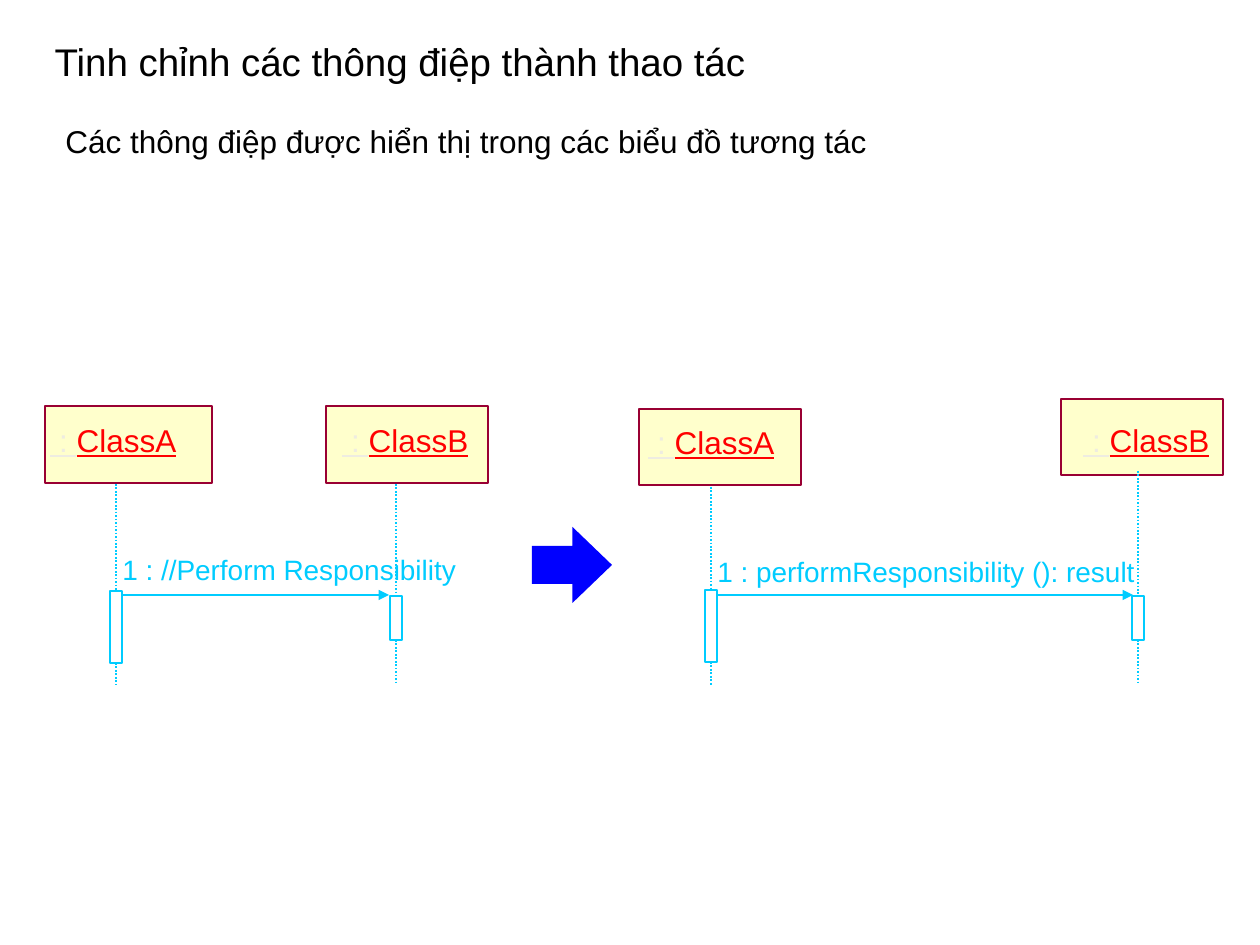
from dataclasses import dataclass

from lxml import etree
from pptx import Presentation
from pptx import util as u
from pptx.dml.color import RGBColor
from pptx.enum import dml, shapes, text
from pptx.oxml.ns import qn

PX = u.Inches(1) // 126


@dataclass(frozen=True)
class Theme:
    font: str = "Arial"
    black: str = "000000"
    cyan: str = "00CCFF"
    red: str = "FF0000"
    pale: str = "EEECE1"
    cream: str = "FFFFCC"
    maroon: str = "990033"
    blue: str = "0000FF"
    title: int = 22
    body: int = 18
    message: int = 16


T = Theme()

prs = Presentation()
prs.slide_width, prs.slide_height = 1260 * PX, 945 * PX
s = prs.slides.add_slide(prs.slide_layouts[5])


def write(sp, box, runs, size, wrap=False, underline=None):
    """Place sp at box (px) and fill it with (text, colour) runs."""
    sp.left, sp.top, sp.width, sp.height = (v * PX for v in box)
    tf = sp.text_frame
    tf.word_wrap = wrap
    tf.auto_size = text.MSO_AUTO_SIZE.NONE
    tf.vertical_anchor = text.MSO_ANCHOR.TOP
    p = tf.paragraphs[0]
    p.alignment = text.PP_ALIGN.LEFT
    for words, colour in runs:
        r = p.add_run()
        r.text = words
        r.font.name, r.font.size = T.font, u.Pt(size)
        r.font.underline = underline
        r.font.color.rgb = RGBColor.from_string(colour)


def connect(x1, y1, x2, y2):
    """Add a thin cyan line without a shadow, in px."""
    line = s.shapes.add_connector(shapes.MSO_CONNECTOR.STRAIGHT,
                                  x1 * PX, y1 * PX, x2 * PX, y2 * PX)
    line.line.color.rgb = RGBColor.from_string(T.cyan)
    line.line.width = u.Pt(1)
    etree.SubElement(line._element.spPr, qn("a:effectLst"))
    return line


# Title and subtitle
write(s.shapes.title, (42, 32, 1113, 59),
      [("Tinh chỉnh các thông điệp thành thao tác", T.black)], T.title, wrap=True)
write(s.shapes.add_textbox(0, 0, 0, 0), (53, 116, 1050, 88),
      [("Các thông điệp được hiển thị trong các biểu đồ tương tác", T.black)],
      T.body, wrap=True)

# Lifelines: name, head box, label left and top, axis x, start y, bar top and height
BAR_W, LIFE_END = 12, 685
lifelines = [
    ("ClassA", (45, 406, 167, 77), (38, 415), 116, 484, 591, 72),
    ("ClassB", (326, 406, 162, 77), (330, 415), 396, 484, 596, 44),
    ("ClassA", (639, 409, 162, 76), (636, 417), 711, 487, 590, 72),
    ("ClassB", (1061, 399, 162, 76), (1071, 415), 1138, 471, 596, 44),
]
for name, head_box, label_at, x, start, bar_top, bar_h in lifelines:
    head = s.shapes.add_shape(shapes.MSO_SHAPE.RECTANGLE, *(v * PX for v in head_box))
    head.shadow.inherit = False
    head.fill.solid()
    head.fill.fore_color.rgb = RGBColor.from_string(T.cream)
    head.line.color.rgb = RGBColor.from_string(T.maroon)
    head.line.width = u.Pt(1)
    write(s.shapes.add_textbox(0, 0, 0, 0), (*label_at, 151, 50),
          [(" : ", T.pale), (name, T.red)], T.body, underline=True)

    bar = s.shapes.add_shape(shapes.MSO_SHAPE.RECTANGLE, (x - BAR_W // 2) * PX,
                             bar_top * PX, BAR_W * PX, bar_h * PX)
    bar.shadow.inherit = False
    bar.fill.background()
    bar.line.color.rgb = RGBColor.from_string(T.cyan)
    bar.line.width = u.Pt(0.75)

    above = connect(x, start, x, bar_top)
    above.end_connect(bar, 0)
    below = connect(x, bar_top + bar_h, x, LIFE_END)
    below.begin_connect(bar, 2)
    for part in (above, below):
        part.line.dash_style = dml.MSO_LINE.ROUND_DOT

# Messages: wording, label box, arrow start and end x
MESSAGE_Y = 595
messages = [
    ("1 : //Perform Responsibility", (110, 546, 359, 47), 122, 389),
    ("1 : performResponsibility (): result", (705, 548, 443, 47), 717, 1133),
]
for words, box, x1, x2 in messages:
    arrow = connect(x1, MESSAGE_Y, x2, MESSAGE_Y)
    etree.SubElement(arrow.line._get_or_add_ln(), qn("a:tailEnd"),
                     type="triangle", w="med", len="med")
    write(s.shapes.add_textbox(0, 0, 0, 0), box, [(words, T.cyan)], T.message)

# Block arrow between the two diagrams
becomes = s.shapes.add_shape(shapes.MSO_SHAPE.RIGHT_ARROW,
                             532 * PX, 527 * PX, 80 * PX, 76 * PX)
becomes.shadow.inherit = False
becomes.adjustments[0], becomes.adjustments[1] = 0.5, 0.52
becomes.fill.solid()
becomes.fill.fore_color.rgb = RGBColor.from_string(T.blue)
becomes.line.fill.background()

prs.save("out.pptx")
